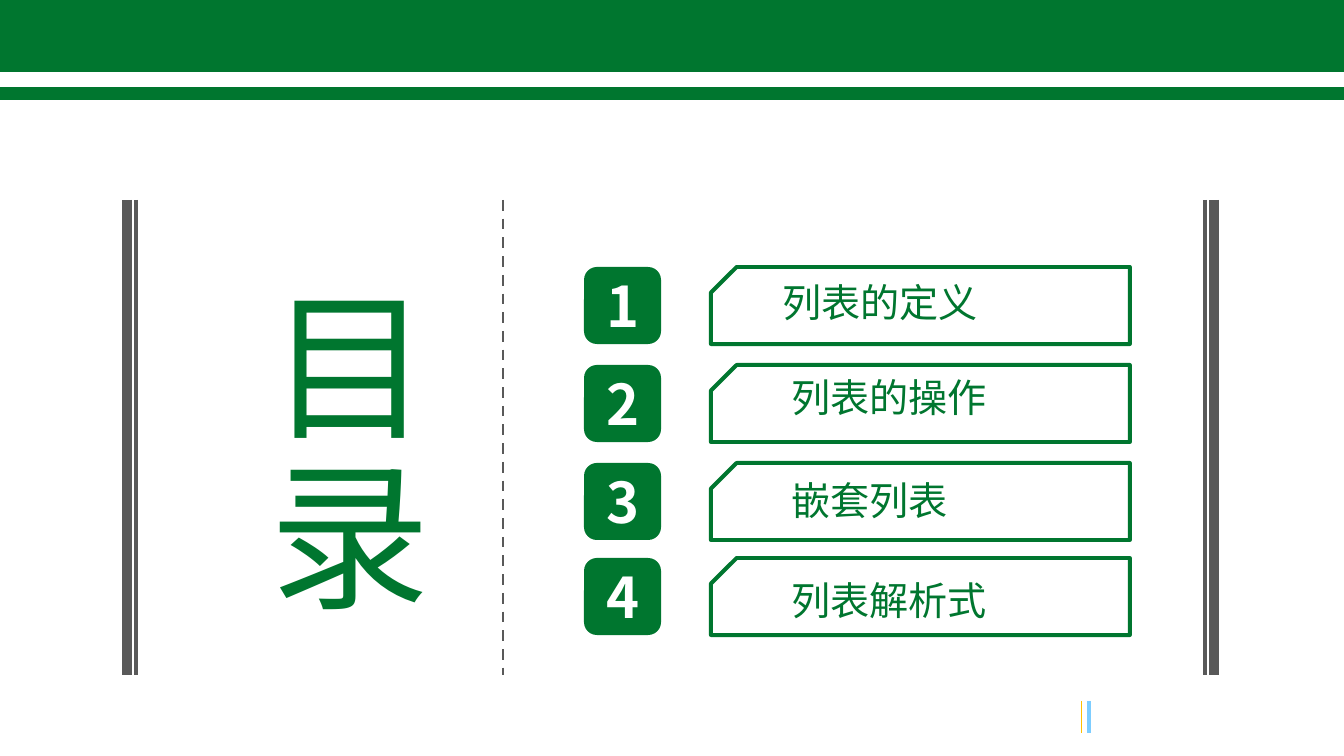
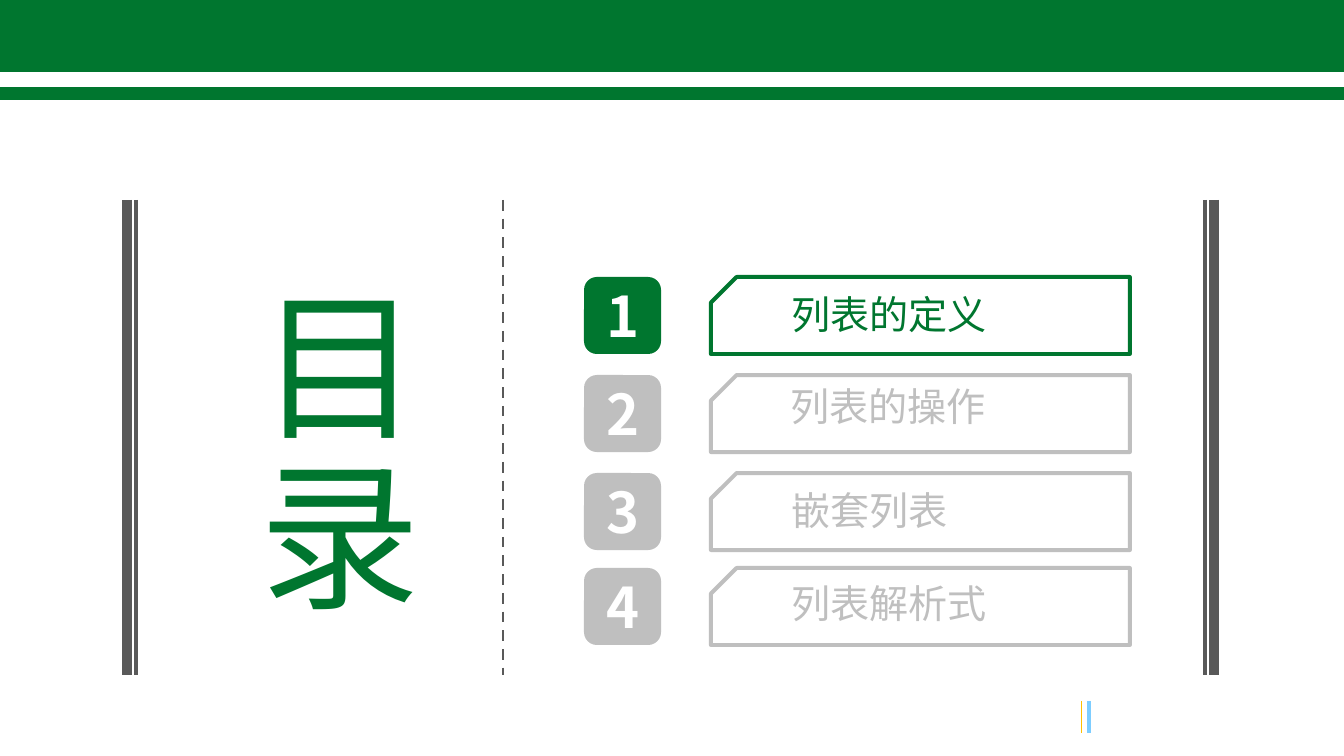
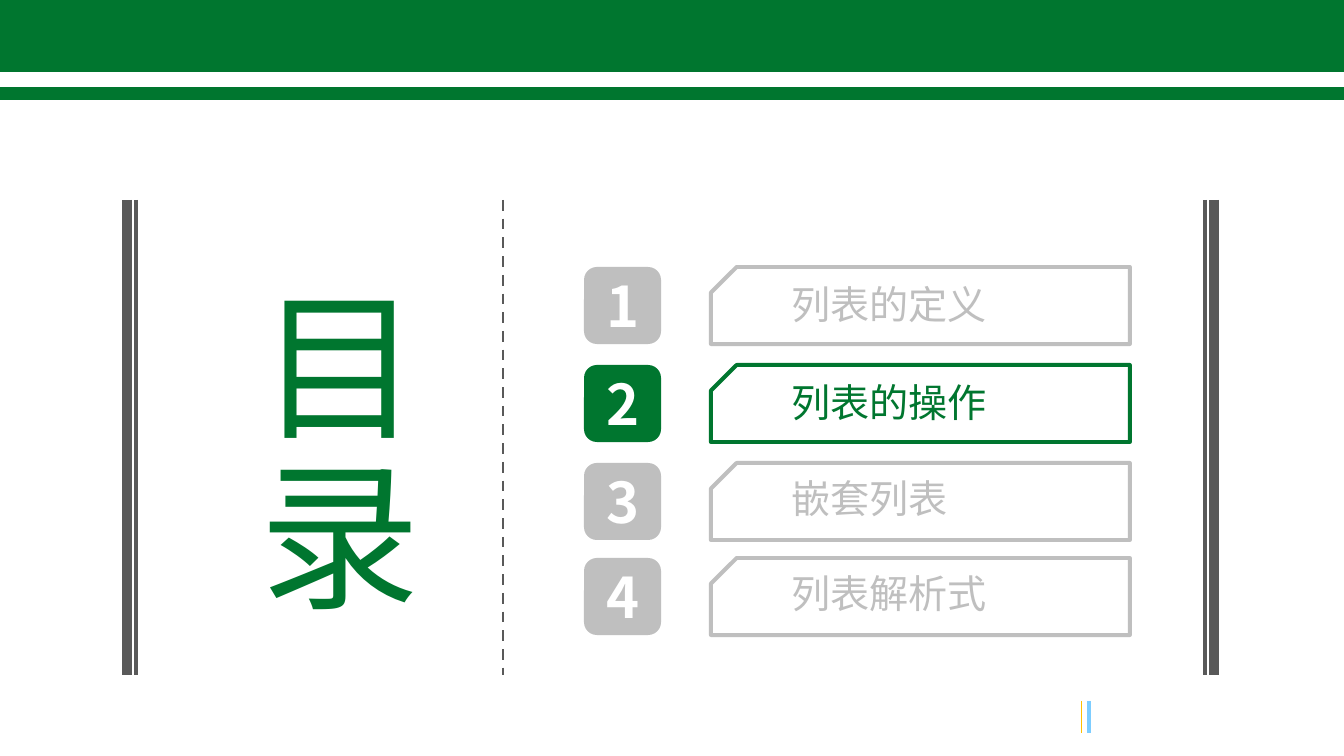
from lxml.etree import SubElement
from pptx import Presentation
from pptx.dml.color import RGBColor
from pptx.enum.dml import MSO_LINE
from pptx.enum.shapes import MSO_CONNECTOR as Connector, MSO_SHAPE as Preset
from pptx.enum.text import MSO_ANCHOR as Anchor, MSO_AUTO_SIZE as AutoSize, PP_ALIGN as Align
from pptx.oxml.ns import qn
from pptx.util import Pt

SCALE = 914400 / 128.1
FONT = "Noto Sans CJK SC"
GREEN, GREY, DARK, WHITE = "00762F", "BFBFBF", "595959", "FFFFFF"
BLUE, GOLD = "7DCDFF", "FFC000"


def px(length):
    return round(length * SCALE)


def rgb(value):
    return RGBColor.from_string(value)


class Deck:
    def __init__(self, width, height):
        self.prs = Presentation()
        self.prs.slide_width, self.prs.slide_height = px(width), px(height)
        self.width = width

    def new_slide(self):
        self.slide = self.prs.slides.add_slide(self.prs.slide_layouts[5])

    def line(self, x, top, bottom, color, weight, dash=None):
        rule = self.slide.shapes.add_connector(
            Connector.STRAIGHT, px(x), px(top), px(x), px(bottom))
        rule.line.color.rgb = rgb(color)
        rule.line.width = Pt(weight)
        rule.line.dash_style = dash
        SubElement(rule._element.spPr, qn("a:effectLst"))

    def shape(self, preset, x, y, w, h, fill=None, outline=None):
        shape = self.slide.shapes.add_shape(preset, px(x), px(y), px(w), px(h))
        shape.shadow.inherit = False
        if fill:
            shape.fill.solid()
            shape.fill.fore_color.rgb = rgb(fill)
        else:
            shape.fill.background()
        if outline:
            shape.line.color.rgb = rgb(outline)
            shape.line.width = Pt(2.25)
        else:
            shape.line.fill.background()
        return shape

    def set_text(self, shape, text, size, color, align=Align.LEFT, bold=False, spacing=1.0):
        frame = shape.text_frame
        frame.word_wrap = True
        frame.auto_size = AutoSize.NONE
        frame.vertical_anchor = Anchor.MIDDLE
        paragraph = frame.paragraphs[0]
        paragraph.alignment = align
        paragraph.line_spacing = spacing
        run = paragraph.add_run()
        run.text = text
        run.font.size = Pt(size)
        run.font.bold = bold
        run.font.color.rgb = rgb(color)
        run.font.name = FONT
        properties = run.font._element
        SubElement(properties, qn("a:ea")).set("typeface", FONT)
        return properties

    def frame(self):
        self.line(1089, 701, 733, BLUE, 2.25)
        self.line(1081, 701, 733, GOLD, 0.5)
        self.shape(Preset.RECTANGLE, 0, 0, self.width, 100, GREEN)
        self.shape(Preset.RECTANGLE, 0, 72, self.width, 15, WHITE)
        for x, weight in ((127, 6), (136, 2.25), (1205, 2.25), (1214, 6)):
            self.line(x, 200, 675, DARK, weight)
        self.line(503, 200, 675, DARK, 1.5, MSO_LINE.DASH)

    def title(self, text, x):
        title = self.slide.shapes.title
        title.left, title.top, title.width, title.height = px(x), px(285), px(220), px(362)
        frame = title.text_frame
        frame.margin_left = frame.margin_right = frame.margin_top = frame.margin_bottom = 0
        self.set_text(title, text, 90.5, GREEN, spacing=0.9).set("spc", "470")
        frame._txBody.bodyPr.set("vert", "eaVert")

    def entry(self, number, topic, top, label_x, label_y, label_width, color):
        badge = self.shape(Preset.ROUNDED_RECTANGLE, 584, top, 77, 77, color)
        badge.text_frame.margin_top = badge.text_frame.margin_bottom = 0
        self.set_text(badge, str(number), 31.5, WHITE, Align.CENTER, bold=True)
        label = self.slide.shapes.add_textbox(
            px(label_x), px(label_y), px(label_width), px(60))
        self.set_text(label, topic, 22, color, spacing=0.9)
        border = self.shape(Preset.SNIP_1_RECTANGLE, 711, top, 419, 77, outline=color)
        border.adjustments[0] = 0.333
        border._element.spPr.get_or_add_xfrm().set("flipH", "1")


TOPICS = (
    ("列表的定义", 0, 379),
    ("列表的操作", 98, 414),
    ("嵌套列表", 196, 398),
    ("列表解析式", 291, 414),
)
AGENDAS = (
    (222, 267, {1, 2, 3, 4}, ((770, 8), (779, 5), (779, 10), (779, 15))),
    (212, 277, {1}, ((779, 10), (778, 4), (779, 10), (779, 8))),
    (212, 267, {2}, ((779, 10), (779, 10), (779, 8), (779, 8))),
)

deck = Deck(1344, 756)
for title_x, first_top, active, labels in AGENDAS:
    deck.new_slide()
    deck.frame()
    deck.title("目录", title_x)
    for number, ((topic, step, width), (label_x, drop)) in enumerate(zip(TOPICS, labels), 1):
        top = first_top + step
        color = GREEN if number in active else GREY
        deck.entry(number, topic, top, label_x, top + drop, width, color)
deck.prs.save("out.pptx")
